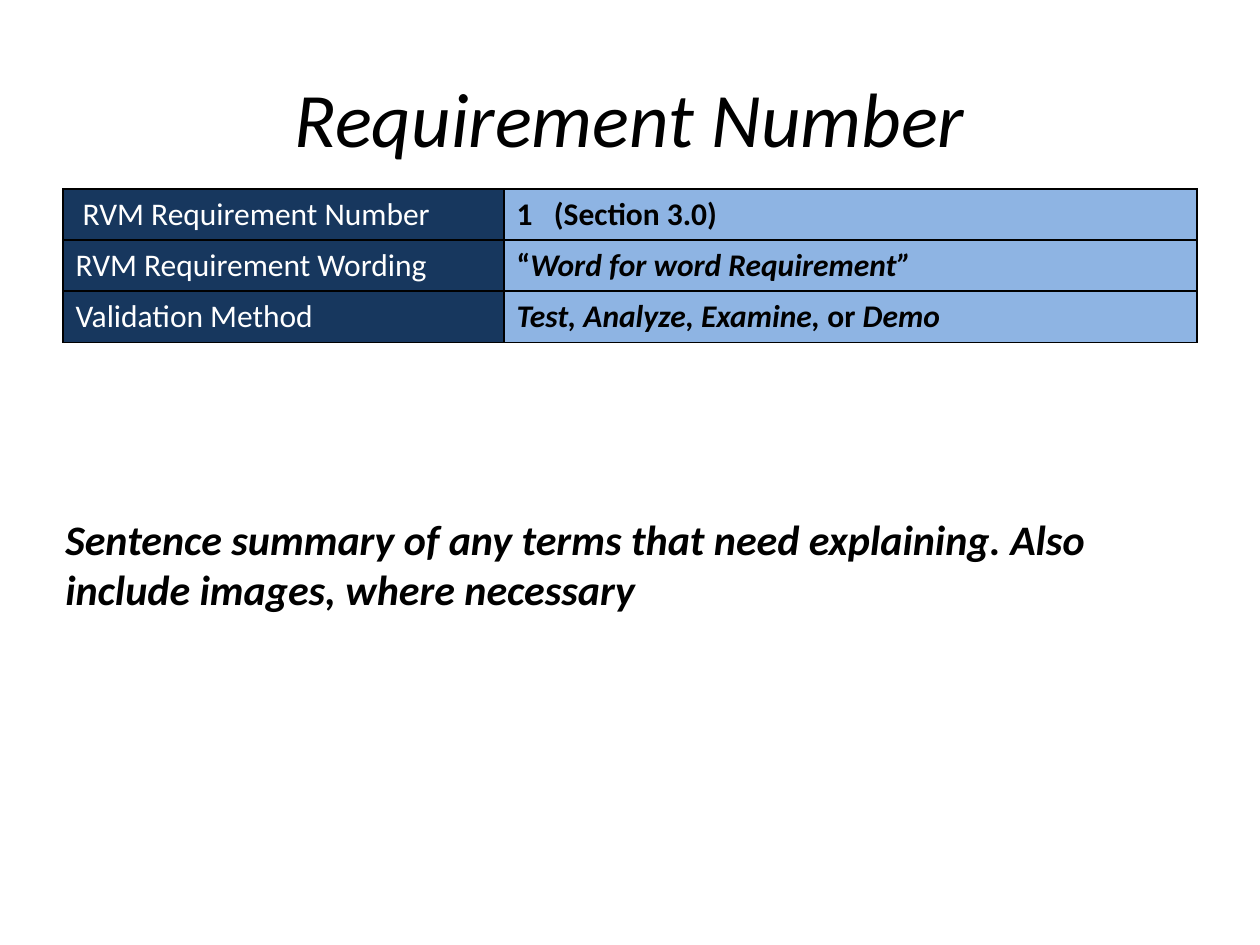
from lxml import etree
from pptx import Presentation
from pptx.dml.color import RGBColor
from pptx.enum.text import MSO_ANCHOR, MSO_AUTO_SIZE, PP_ALIGN
from pptx.oxml.ns import qn
from pptx.util import Pt

# Content: each run is (text, bold, italic)
TITLE = [("Requirement Number", False, True)]
ROWS = [
    (" RVM Requirement Number", [("1   (Section 3.0)", True, False)]),
    ("RVM Requirement Wording", [("“", True, False),
                                 ("Word for word Requirement”", True, True)]),
    ("Validation Method", [("Test, Analyze, Examine, ", True, True),
                           ("or", True, False), (" Demo", True, True)]),
]
SUMMARY = [("Sentence summary of any terms that need explaining. "
            "Also include images, where necessary", True, True)]

# Layout in pixels
SLIDE = (1260, 945)
TITLE_BOX = (63, 38, 1134, 158)
TABLE_LEFT, TABLE_TOP = 63, 189
COLUMNS, ROW_HEIGHT = (441, 693), 51
SUMMARY_BOX = (53, 507, 1144, 114)

FONT = "Calibri"
BLACK, WHITE, NAVY, SKY = "000000", "FFFFFF", "17375E", "8EB4E3"


def px(value):
    return round(value * 914400 / 126)


def color(hex_value):
    return RGBColor.from_string(hex_value)


def write(frame, runs, size, hex_value):
    paragraph = frame.paragraphs[0]
    for text, bold, italic in runs:
        run = paragraph.add_run()
        run.text = text
        font = run.font
        font.name, font.size = FONT, Pt(size)
        font.bold, font.italic = bold, italic
        font.color.rgb = color(hex_value)
    return paragraph


def style_cell(cell, fill, anchor):
    cell.vertical_anchor = anchor
    properties = cell._tc.get_or_add_tcPr()
    for side in ("a:lnL", "a:lnR", "a:lnT", "a:lnB"):
        line = etree.SubElement(properties, qn(side), w=str(Pt(1)))
        solid = etree.SubElement(line, qn("a:solidFill"))
        etree.SubElement(solid, qn("a:srgbClr"), val=BLACK)
    cell.fill.solid()
    cell.fill.fore_color.rgb = color(fill)


prs = Presentation()
prs.slide_width, prs.slide_height = map(px, SLIDE)
slide = prs.slides.add_slide(prs.slide_layouts[5])

# Title
title = slide.shapes.title
title.left, title.top, title.width, title.height = map(px, TITLE_BOX)
title.text_frame.vertical_anchor = MSO_ANCHOR.MIDDLE
write(title.text_frame, TITLE, 44, BLACK).alignment = PP_ALIGN.CENTER

# Requirement table
table = slide.shapes.add_table(
    len(ROWS), len(COLUMNS), px(TABLE_LEFT), px(TABLE_TOP),
    px(sum(COLUMNS)), px(ROW_HEIGHT * len(ROWS))).table
table.first_row = table.horz_banding = False
for column, width in zip(table.columns, COLUMNS):
    column.width = px(width)
for index, (label, value) in enumerate(ROWS):
    table.rows[index].height = px(ROW_HEIGHT)
    label_cell, value_cell = table.cell(index, 0), table.cell(index, 1)
    style_cell(label_cell, NAVY, MSO_ANCHOR.MIDDLE)
    style_cell(value_cell, SKY, MSO_ANCHOR.TOP)
    write(label_cell.text_frame, [(label, False, False)], 18, WHITE)
    write(value_cell.text_frame, value, 18, BLACK)

# Summary
summary = slide.shapes.add_textbox(*map(px, SUMMARY_BOX)).text_frame
summary.word_wrap = True
summary.auto_size = MSO_AUTO_SIZE.SHAPE_TO_FIT_TEXT
write(summary, SUMMARY, 24, BLACK)

prs.save("out.pptx")
